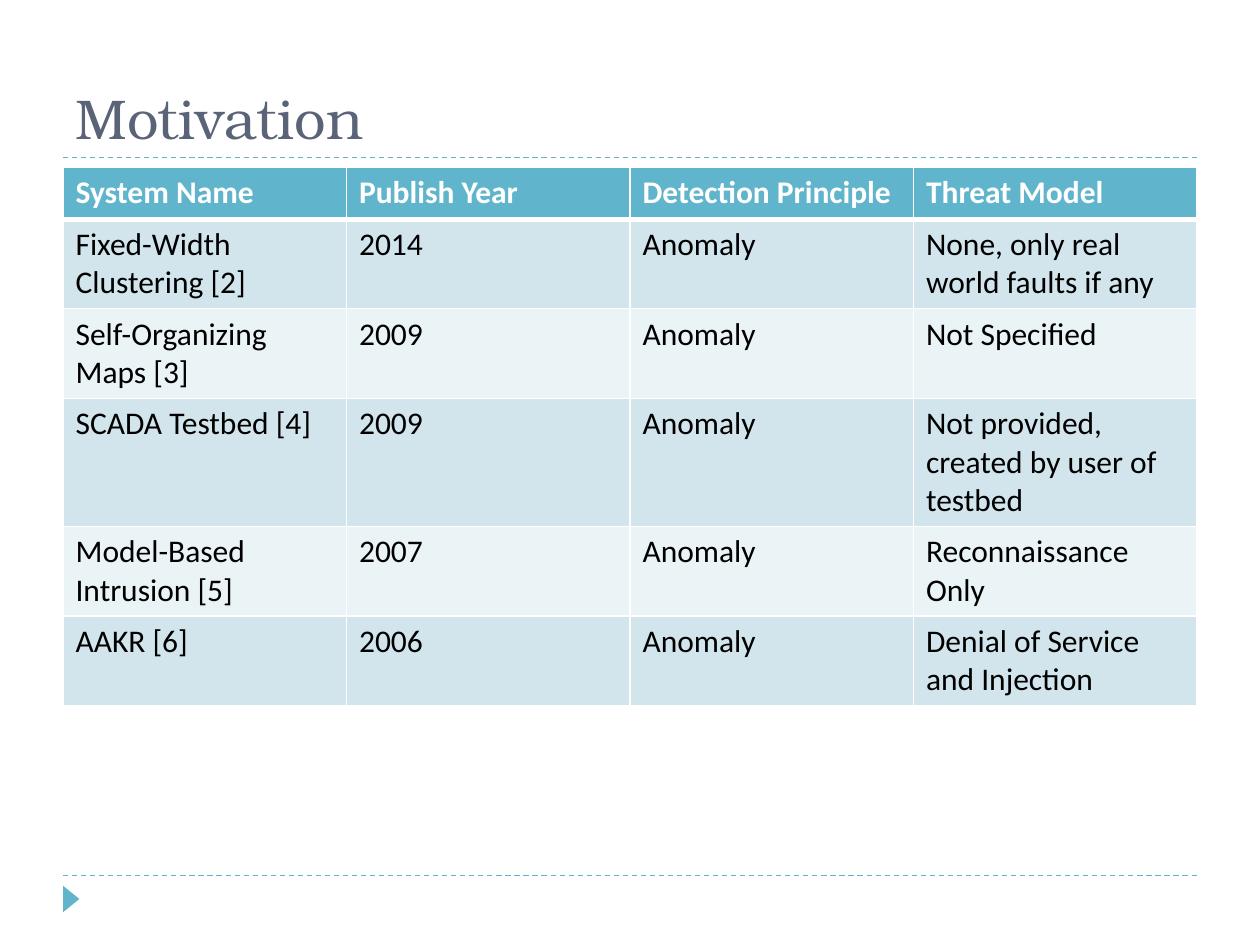
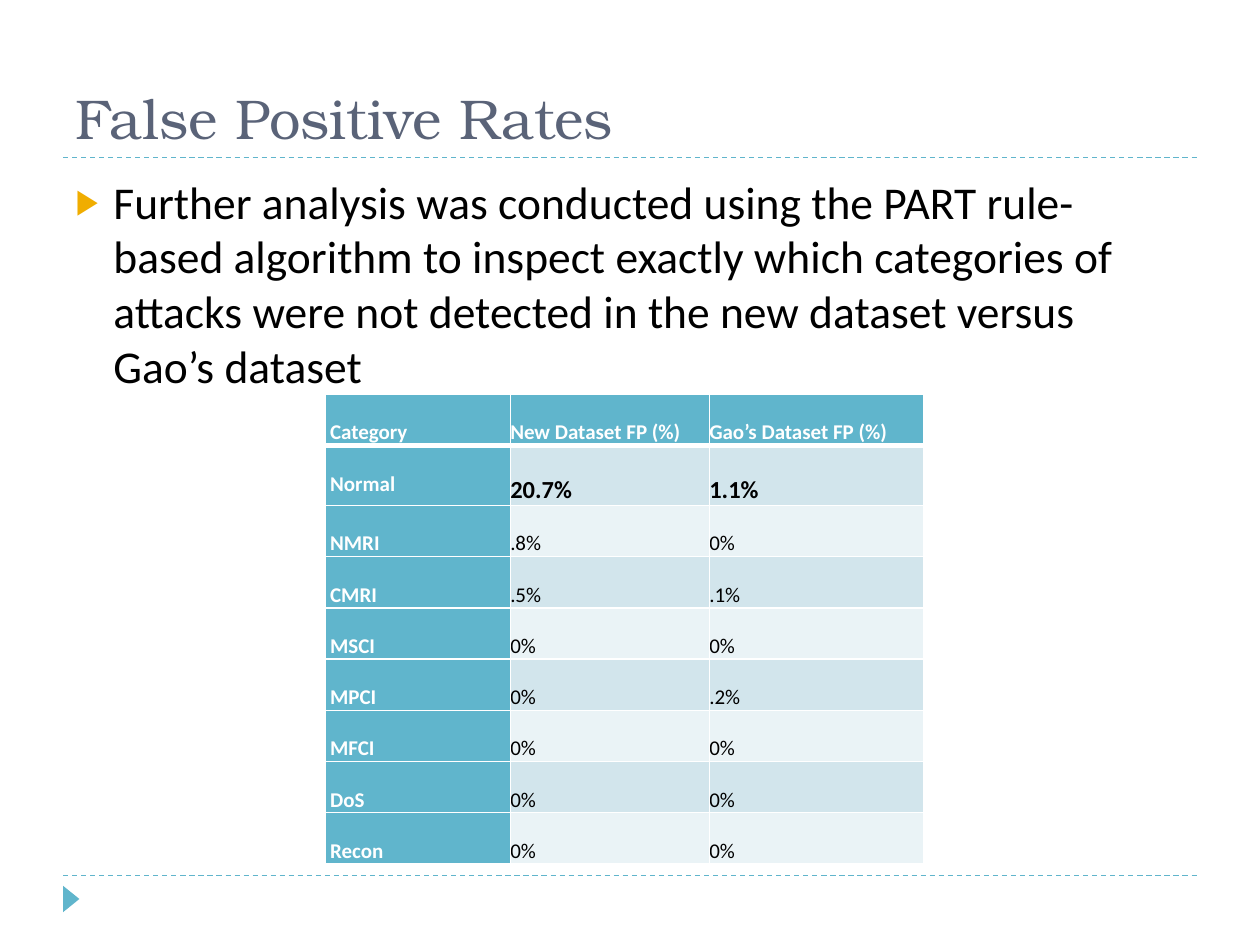
from dataclasses import dataclass

from lxml.etree import SubElement
from pptx import Presentation
from pptx.dml.color import RGBColor
from pptx.enum.dml import MSO_LINE
from pptx.enum.shapes import MSO_CONNECTOR, MSO_SHAPE
from pptx.enum.text import MSO_ANCHOR, MSO_AUTO_SIZE, PP_ALIGN
from pptx.oxml.ns import qn
from pptx.util import Inches, Pt


@dataclass(frozen=True)
class Theme:
    accent: str = "60B5CC"
    bullet: str = "F0AD00"
    title: str = "5A6378"
    text: str = "000000"
    white: str = "FFFFFF"
    bands: tuple = ("D2E5EC", "EAF3F6")
    title_font: str = "TeX Gyre Bonum"
    body_font: str = "Calibri"
    title_size: int = 32
    body_size: int = 26
    table_size: int = 18
    small_size: int = 12
    highlight_size: int = 14
    rule_width: float = 0.75
    border_width: int = 1
    header_border_width: int = 3


@dataclass(frozen=True)
class Box:
    """A region of a slide, in inches."""
    left: float
    top: float
    width: float
    height: float


THEME = Theme()
TITLE_BOX = Box(0.5, 0.17, 9, 1.08)
BODY_BOX = Box(0.5, 1.33, 9, 5.4)
SYSTEMS_BOX = Box(0.5, 1.33, 9, 4.5)
RATES_BOX = Box(2.58, 3.13, 4.75, 3.6)
FOOTER_BOX = Box(0.5, 6.95, 9, 0.4)
TITLE_AND_BODY, TITLE_ONLY = 1, 5

SYSTEMS = [
    ("System Name", "Publish Year", "Detection Principle", "Threat Model"),
    ("Fixed-Width Clustering [2]", "2014", "Anomaly",
     "None, only real world faults if any"),
    ("Self-Organizing Maps [3]", "2009", "Anomaly", "Not Specified"),
    ("SCADA Testbed [4]", "2009", "Anomaly",
     "Not provided, created by user of testbed"),
    ("Model-Based Intrusion [5]", "2007", "Anomaly", "Reconnaissance Only"),
    ("AAKR [6]", "2006", "Anomaly", "Denial of Service and Injection"),
]
RATES = [
    ("Category", "New Dataset FP (%)", "Gao’s Dataset FP (%)"),
    ("Normal", "20.7%", "1.1%"),
    ("NMRI", ".8%", "0%"),
    ("CMRI", ".5%", ".1%"),
    ("MSCI", "0%", "0%"),
    ("MPCI", "0%", ".2%"),
    ("MFCI", "0%", "0%"),
    ("DoS", "0%", "0%"),
    ("Recon", "0%", "0%"),
]
ANALYSIS = (
    "Further analysis was conducted using the PART rule-based algorithm to "
    "inspect exactly which categories of attacks were not detected in the new "
    "dataset versus Gao’s dataset"
)


def color(value):
    return RGBColor.from_string(value)


def set_font(font, name, size, value, bold=False):
    font.name, font.size, font.bold = name, Pt(size), bold
    font.color.rgb = color(value)


def place(shape, box):
    shape.left, shape.top = Inches(box.left), Inches(box.top)
    shape.width, shape.height = Inches(box.width), Inches(box.height)


def add_dashed_rule(slide, left, top, width):
    y = Inches(top)
    rule = slide.shapes.add_connector(
        MSO_CONNECTOR.STRAIGHT, Inches(left), y, Inches(left + width), y)
    rule.line.color.rgb = color(THEME.accent)
    rule.line.width = Pt(THEME.rule_width)
    rule.line.dash_style = MSO_LINE.DASH
    SubElement(rule.element.spPr, qn("a:effectLst"))


def add_title(slide, box, text):
    """Fill the title placeholder and underline it with a dashed rule."""
    title = slide.shapes.title
    place(title, box)
    frame = title.text_frame
    frame.text = text
    frame.auto_size = MSO_AUTO_SIZE.NONE
    frame.vertical_anchor = MSO_ANCHOR.BOTTOM
    paragraph = frame.paragraphs[0]
    paragraph.alignment = PP_ALIGN.LEFT
    set_font(paragraph.font, THEME.title_font, THEME.title_size, THEME.title)
    add_dashed_rule(slide, box.left, box.top + box.height, box.width)


def add_footer(slide, box):
    """Draw the bottom rule and the arrow that points right below it."""
    add_dashed_rule(slide, box.left, box.top, box.width)
    arrow = slide.shapes.add_shape(
        MSO_SHAPE.ISOSCELES_TRIANGLE, Inches(box.left - 0.04),
        Inches(box.top + 0.12), Inches(0.21), Inches(0.13))
    arrow.rotation = 90
    arrow.shadow.inherit = False
    arrow.fill.solid()
    arrow.fill.fore_color.rgb = color(THEME.accent)
    arrow.line.fill.background()


def add_bullet_text(slide, box, text):
    body = slide.placeholders[1]
    place(body, box)
    frame = body.text_frame
    frame.text = text
    frame.auto_size = MSO_AUTO_SIZE.NONE
    paragraph = frame.paragraphs[0]
    paragraph.space_before = Pt(6)
    set_font(paragraph.font, THEME.body_font, THEME.body_size, THEME.text)
    properties = paragraph._p.get_or_add_pPr()
    indent = Inches(0.3)
    properties.set("marL", str(indent))
    properties.set("indent", str(-indent))
    # The schema wants bullet colour, size and character ahead of the font.
    bullet_color = properties.makeelement(qn("a:buClr"))
    SubElement(bullet_color, qn("a:srgbClr"), val=THEME.bullet)
    bullet_size = properties.makeelement(qn("a:buSzPct"), val="76000")
    bullet = properties.makeelement(qn("a:buChar"), char="▶")
    font_properties = properties.find(qn("a:defRPr"))
    for element in (bullet_color, bullet_size, bullet):
        font_properties.addprevious(element)


def set_borders(cell, top, bottom):
    """Give a cell white borders; call before filling it, as XML order counts."""
    widths = {"L": THEME.border_width, "R": THEME.border_width,
              "T": top, "B": bottom}
    properties = cell._tc.get_or_add_tcPr()
    for side, width in widths.items():
        line = SubElement(properties, qn(f"a:ln{side}"), w=str(Pt(width)))
        fill = SubElement(line, qn("a:solidFill"))
        SubElement(fill, qn("a:srgbClr"), val=THEME.white)


def add_banded_table(slide, box, rows, column_widths, row_height, size,
                     label_column=False):
    """Add a table with an accent header, banded rows and white borders."""
    frame = slide.shapes.add_table(
        len(rows), len(column_widths), Inches(box.left), Inches(box.top),
        Inches(box.width), Inches(box.height))
    table = frame.table
    table.first_col = label_column
    for column, width in zip(table.columns, column_widths):
        column.width = Inches(width)
    for row_index, values in enumerate(rows):
        table.rows[row_index].height = Inches(row_height)
        top, bottom = (
            THEME.header_border_width if edge == 1 else THEME.border_width
            for edge in (row_index, row_index + 1))
        for column_index, value in enumerate(values):
            heading = row_index == 0 or (label_column and column_index == 0)
            cell = table.cell(row_index, column_index)
            set_borders(cell, top, bottom)
            cell.fill.solid()
            cell.fill.fore_color.rgb = color(
                THEME.accent if heading else THEME.bands[(row_index - 1) % 2])
            cell.text = value
            set_font(cell.text_frame.paragraphs[0].font, THEME.body_font, size,
                     THEME.white if heading else THEME.text, heading)
    place(frame, box)
    return table


def tighten_cells(table):
    """Remove the cell margins and double the line spacing."""
    for row in table.rows:
        for column_index, cell in enumerate(row.cells):
            cell.margin_left = Inches(0.04 if column_index == 0 else 0)
            cell.margin_right = cell.margin_top = cell.margin_bottom = 0
            cell.text_frame.paragraphs[0].line_spacing = 2.0


def highlight_values(table, row_index):
    for cell in list(table.rows[row_index].cells)[1:]:
        font = cell.text_frame.paragraphs[0].font
        font.size, font.bold = Pt(THEME.highlight_size), True


def add_titled_slide(presentation, layout_index, title):
    slide = presentation.slides.add_slide(
        presentation.slide_layouts[layout_index])
    add_footer(slide, FOOTER_BOX)
    add_title(slide, TITLE_BOX, title)
    return slide


def add_motivation_slide(presentation):
    slide = add_titled_slide(presentation, TITLE_ONLY, "Motivation")
    column_count = len(SYSTEMS[0])
    add_banded_table(slide, SYSTEMS_BOX, SYSTEMS,
                     [SYSTEMS_BOX.width / column_count] * column_count,
                     0.41, THEME.table_size)


def add_false_positive_slide(presentation):
    slide = add_titled_slide(presentation, TITLE_AND_BODY,
                             "False Positive Rates")
    add_bullet_text(slide, BODY_BOX, ANALYSIS)
    table = add_banded_table(slide, RATES_BOX, RATES, (1.47, 1.58, 1.7),
                             RATES_BOX.height / len(RATES), THEME.small_size,
                             label_column=True)
    tighten_cells(table)
    highlight_values(table, 1)


def main():
    presentation = Presentation()
    presentation.slide_width, presentation.slide_height = Inches(10), Inches(7.5)
    add_motivation_slide(presentation)
    add_false_positive_slide(presentation)
    presentation.save("out.pptx")


if __name__ == "__main__":
    main()
